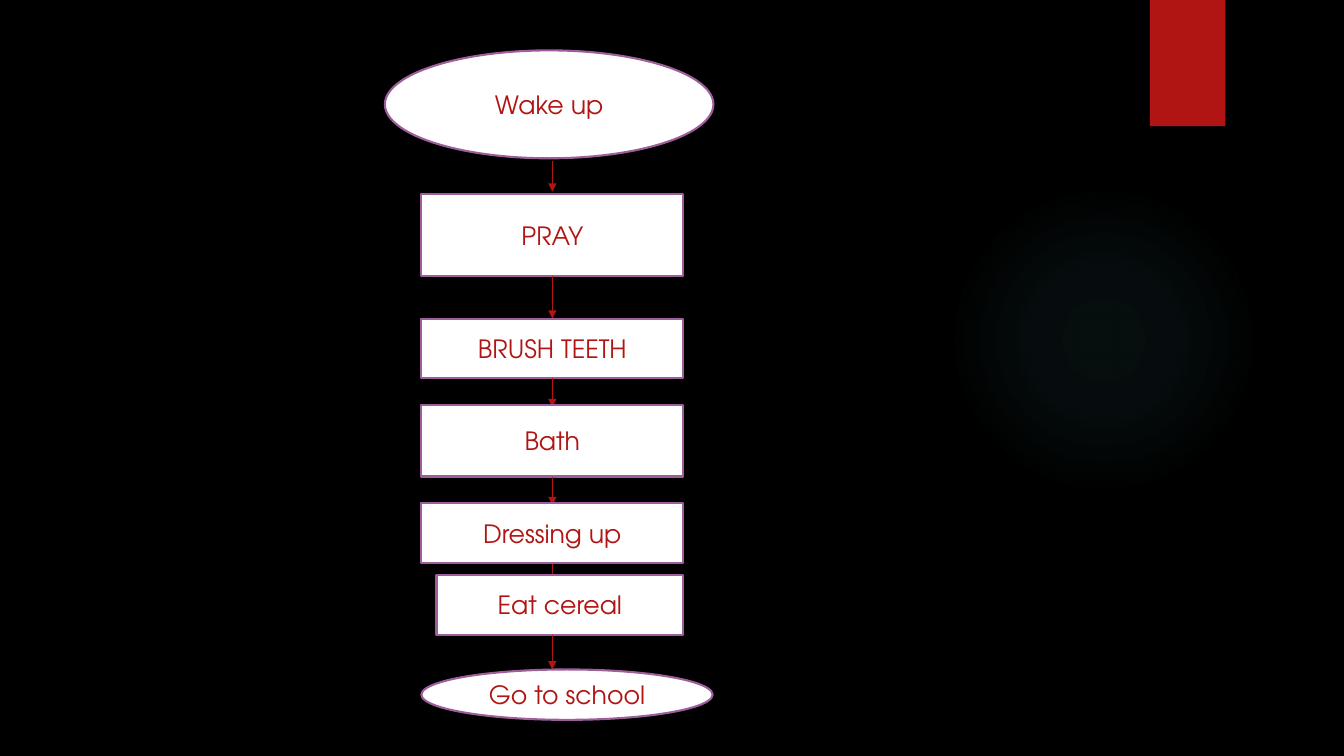
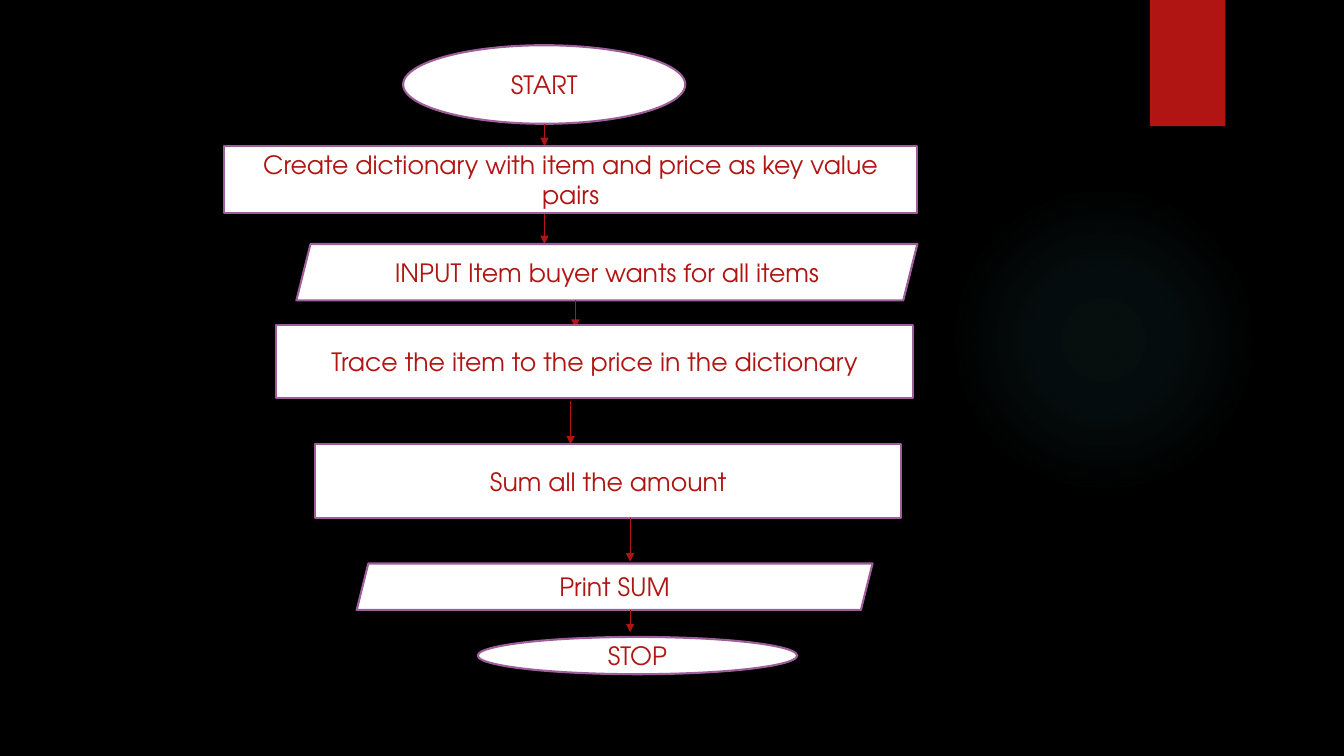
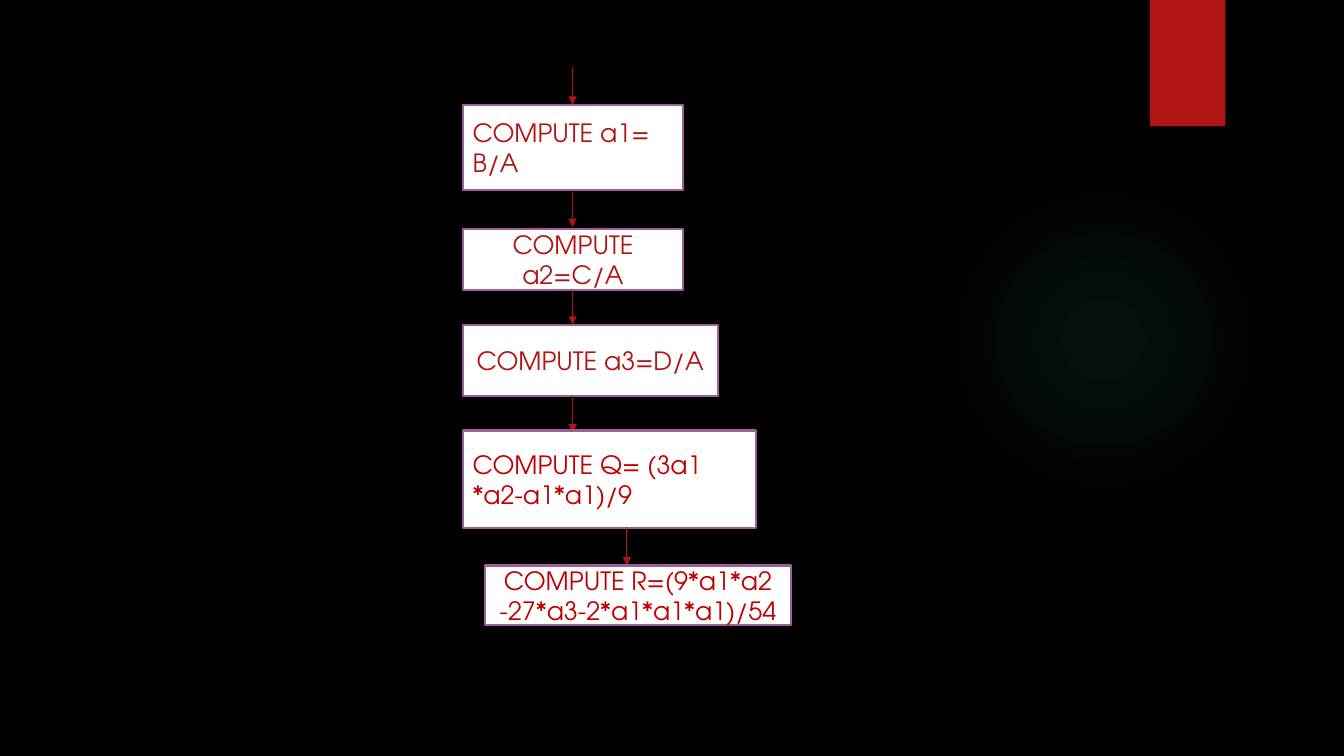
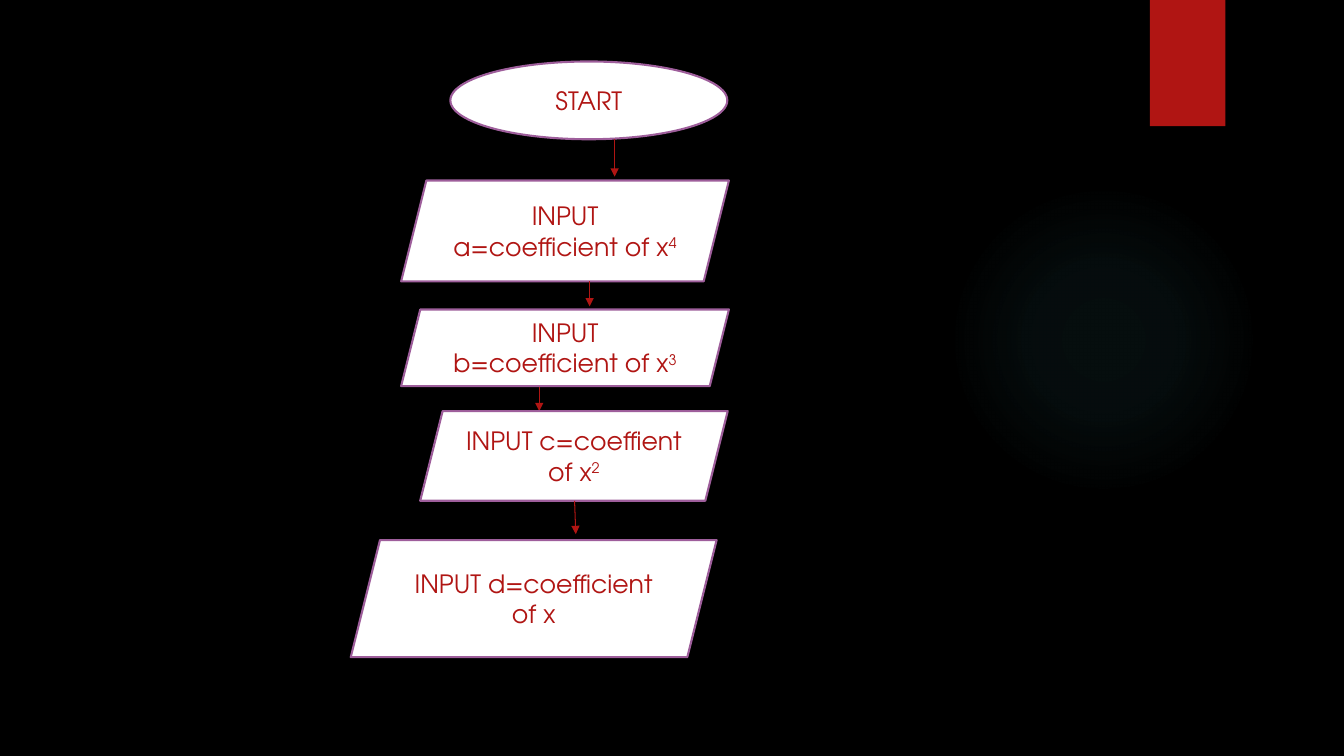
import dataclasses
from typing import Optional

import pptx
import pptx.dml.color
import pptx.enum.shapes
import pptx.enum.text
import pptx.oxml
import pptx.oxml.ns
import pptx.util

Cm = pptx.util.Cm
Pt = pptx.util.Pt
PRESET = pptx.enum.shapes.MSO_SHAPE
TERMINAL, PROCESS, DATA = PRESET.OVAL, PRESET.RECTANGLE, PRESET.PARALLELOGRAM
ALIGN = pptx.enum.text.PP_ALIGN
BLANK_LAYOUT = 6


@dataclasses.dataclass(frozen=True)
class Theme:
    background: str = "000000"
    red: str = "B01513"
    bright_red: str = "C00000"
    box: str = "FFFFFF"
    outline: str = "9E5E9B"
    glow: str = "50B9C1"
    font: str = "TeX Gyre Adventor"
    text_size: float = 18
    outline_width: float = 1.5
    arrow_width: float = 0.75


THEME = Theme()


@dataclasses.dataclass(frozen=True)
class Arrow:
    """A downward arrow, in cm; drift moves its tip sideways."""
    x: float
    top: float
    bottom: float
    drift: float = 0


@dataclasses.dataclass(frozen=True)
class Step:
    """One flowchart box, in cm, with the arrow that leads into it."""
    kind: int
    left: float
    top: float
    width: float
    height: float
    text: str
    arrow: Optional[Arrow] = None
    exponent: str = ""
    align: int = ALIGN.CENTER
    color: str = THEME.red


# The four flowcharts
MORNING_X = 13.92
MORNING = [
    Step(TERMINAL, 9.7, 1.27, 8.28, 2.72, "Wake up"),
    Step(PROCESS, 10.62, 4.9, 6.6, 2.06, "PRAY", Arrow(MORNING_X, 4.06, 4.83)),
    Step(PROCESS, 10.62, 8.03, 6.6, 1.5, "BRUSH TEETH", Arrow(MORNING_X, 6.96, 8.03)),
    Step(PROCESS, 10.62, 10.21, 6.6, 1.8, "Bath", Arrow(MORNING_X, 9.53, 10.26)),
    Step(PROCESS, 10.62, 12.67, 6.6, 1.52, "Dressing up", Arrow(MORNING_X, 12.01, 12.73)),
    Step(PROCESS, 11, 14.48, 6.22, 1.52, "Eat cereal", Arrow(MORNING_X, 14.22, 14.73)),
    Step(TERMINAL, 10.62, 16.87, 7.34, 1.27, "Go to school", Arrow(MORNING_X, 16, 16.87)),
]

SHOPPING = [
    Step(TERMINAL, 10.16, 1.14, 7.11, 1.98, "START"),
    Step(PROCESS, 5.64, 3.68, 17.48, 1.7,
         "Create dictionary with item and price as key value pairs",
         Arrow(13.72, 3.12, 3.68)),
    Step(DATA, 7.47, 6.15, 15.65, 1.42, "INPUT Item buyer wants for all items",
         Arrow(13.72, 5.38, 6.15)),
    Step(PROCESS, 6.96, 8.18, 16.05, 1.85, "Trace the item to the price in the dictionary",
         Arrow(14.5, 7.57, 8.26)),
    Step(PROCESS, 7.95, 11.2, 14.76, 1.85, "Sum all the amount", Arrow(14.38, 10.11, 11.2)),
    Step(DATA, 8.99, 14.2, 13, 1.17, "Print SUM", Arrow(15.88, 13.06, 14.15)),
    Step(TERMINAL, 12.04, 16.05, 8.05, 0.94, "STOP", Arrow(15.88, 15.37, 15.93)),
]

COMPUTE_X = 14.43
COMPUTATION = [
    Step(PROCESS, 11.66, 2.64, 5.56, 2.16, "COMPUTE a1= B/A",
         Arrow(COMPUTE_X, 1.7, 2.64), align=ALIGN.LEFT),
    Step(PROCESS, 11.66, 5.77, 5.56, 1.55, "COMPUTE a2=C/A", Arrow(COMPUTE_X, 4.83, 5.72)),
    Step(PROCESS, 11.66, 8.18, 6.43, 1.8, "COMPUTE a3=D/A", Arrow(COMPUTE_X, 7.32, 8.18)),
    Step(PROCESS, 11.66, 10.85, 7.39, 2.46, "COMPUTE Q= (3a1 *a2-a1*a1)/9",
         Arrow(COMPUTE_X, 9.98, 10.9), align=ALIGN.LEFT, color=THEME.bright_red),
    Step(PROCESS, 12.22, 14.25, 7.72, 1.5, "COMPUTE R=(9*a1*a2 -27*a3-2*a1*a1*a1)/54",
         Arrow(15.8, 13.28, 14.25), color=THEME.bright_red),
]

COEFFICIENTS = [
    Step(TERMINAL, 11.35, 1.55, 6.98, 1.96, "START"),
    Step(DATA, 10.11, 4.55, 8.26, 2.54, "INPUT a=coefficient of x",
         Arrow(15.49, 3.51, 4.45), "4"),
    Step(DATA, 10.11, 7.8, 8.26, 1.93, "INPUT b=coefficient of x",
         Arrow(14.86, 7.09, 7.72), "3"),
    Step(DATA, 10.59, 10.36, 7.75, 2.26, "INPUT c=coeffient of x",
         Arrow(13.59, 9.75, 10.36), "2"),
    Step(DATA, 8.84, 13.61, 9.22, 2.95, "INPUT d=coefficient of x",
         Arrow(14.48, 12.62, 13.46, drift=0.03)),
]


# Helpers
def rgb(color):
    return pptx.dml.color.RGBColor.from_string(color)


def drawing_xml(markup):
    """Build a DrawingML element; NS in the markup stands for its namespace."""
    return pptx.oxml.parse_xml(markup.replace("NS", pptx.oxml.ns.nsdecls("a"), 1))


def add_filled(slide, kind, left, top, width, height, color):
    shape = slide.shapes.add_shape(kind, Cm(left), Cm(top), Cm(width), Cm(height))
    shape.fill.solid()
    shape.fill.fore_color.rgb = rgb(color)
    shape.line.fill.background()
    shape.shadow.inherit = False
    return shape


def add_run(paragraph, text, color, superscript=False):
    run = paragraph.add_run()
    run.text = text
    run.font.name = THEME.font
    run.font.size = Pt(THEME.text_size)
    run.font.color.rgb = rgb(color)
    if superscript:
        run.font._element.set("baseline", "30000")


def add_arrow(slide, arrow):
    connector = slide.shapes.add_connector(
        pptx.enum.shapes.MSO_CONNECTOR.STRAIGHT,
        Cm(arrow.x), Cm(arrow.top), Cm(arrow.x + arrow.drift), Cm(arrow.bottom))
    connector.line.color.rgb = rgb(THEME.red)
    connector.line.width = Pt(THEME.arrow_width)
    connector.line._get_or_add_ln().append(drawing_xml('<a:tailEnd NS type="triangle"/>'))
    connector.element.spPr.append(drawing_xml("<a:effectLst NS/>"))


def add_step(slide, step):
    if step.arrow:
        add_arrow(slide, step.arrow)
    box = add_filled(slide, step.kind, step.left, step.top, step.width, step.height, THEME.box)
    box.line.color.rgb = rgb(THEME.outline)
    box.line.width = Pt(THEME.outline_width)
    box.text_frame.word_wrap = True
    box.text_frame.vertical_anchor = pptx.enum.text.MSO_ANCHOR.MIDDLE
    paragraph = box.text_frame.paragraphs[0]
    paragraph.alignment = step.align
    add_run(paragraph, step.text, step.color)
    if step.exponent:
        add_run(paragraph, step.exponent, step.color, superscript=True)


# Shared look, kept on the slide master
def glow_fill():
    stops = "".join(
        f'<a:gs pos="{pos * 1000}"><a:srgbClr val="{THEME.glow}">'
        f'<a:alpha val="{alpha * 1000}"/></a:srgbClr></a:gs>'
        for pos, alpha in ((0, 7), (36, 6), (69, 0)))
    return drawing_xml(
        f'<a:gradFill NS rotWithShape="1"><a:gsLst>{stops}</a:gsLst><a:path path="circle">'
        '<a:fillToRect l="50000" t="50000" r="50000" b="50000"/></a:path></a:gradFill>')


def tab_shadow():
    return drawing_xml(
        f'<a:outerShdw NS blurRad="{Pt(3)}" dist="{Pt(2)}" dir="5400000" rotWithShape="0">'
        '<a:srgbClr val="000000"><a:alpha val="45000"/></a:srgbClr></a:outerShdw>')


def style_master(prs):
    master = prs.slide_master
    master.background.fill.solid()
    master.background.fill.fore_color.rgb = rgb(THEME.background)


def add_master_decor(prs, slide):
    """Draw the glow and the red tab, then move them to the master."""
    glow = add_filled(slide, PRESET.OVAL, 23.9, 4.65, 7.82, 7.82, THEME.glow)
    spot = glow.element.spPr
    spot.replace(spot.find(pptx.oxml.ns.qn("a:solidFill")), glow_fill())
    tab = add_filled(slide, PRESET.RECTANGLE, 28.98, 0, 1.9, 3.18, THEME.red)
    tab.element.spPr.find(pptx.oxml.ns.qn("a:effectLst")).append(tab_shadow())
    for decor in (glow, tab):
        prs.slide_master.shapes.element.append(decor.element)


def main():
    prs = pptx.Presentation()
    prs.slide_width, prs.slide_height = Cm(33.87), Cm(19.05)
    style_master(prs)
    for flowchart in (MORNING, SHOPPING, COMPUTATION, COEFFICIENTS):
        slide = prs.slides.add_slide(prs.slide_layouts[BLANK_LAYOUT])
        if len(prs.slides) == 1:
            add_master_decor(prs, slide)
        for step in flowchart:
            add_step(slide, step)
    prs.save("out.pptx")


if __name__ == "__main__":
    main()
